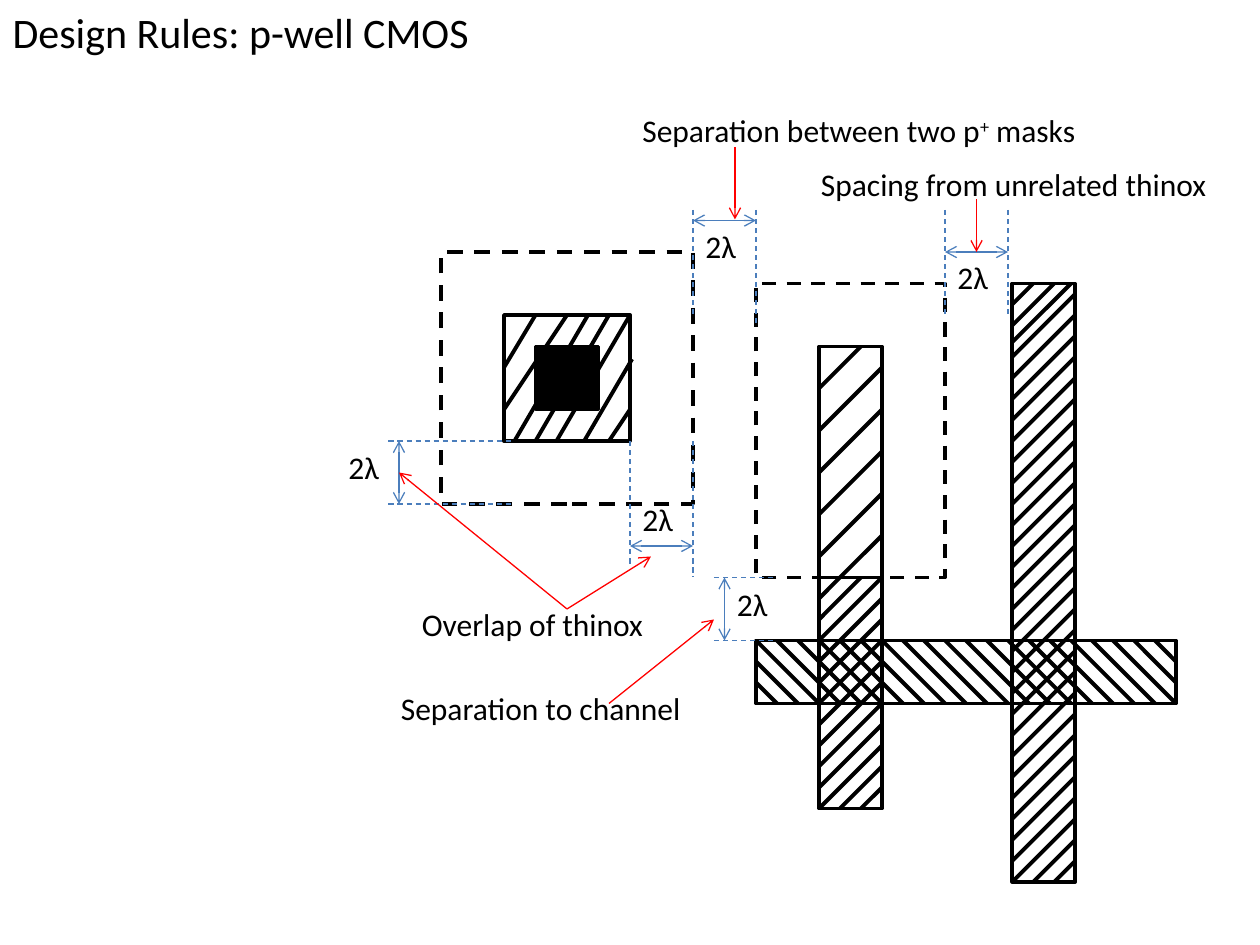
from lxml.etree import SubElement
from pptx import Presentation
from pptx.dml.color import RGBColor
from pptx.enum.dml import MSO_LINE_DASH_STYLE as Dash
from pptx.enum.shapes import MSO_CONNECTOR as Connector, MSO_SHAPE as Shape
from pptx.enum.text import MSO_ANCHOR as Anchor, MSO_AUTO_SIZE as AutoSize, PP_ALIGN as Align
from pptx.oxml.ns import qn
from pptx.util import Inches, Pt

BLACK = RGBColor(0x00, 0x00, 0x00)
BLUE = RGBColor(0x4B, 0x7E, 0xBC)
RED = RGBColor(0xFF, 0x00, 0x00)
COLUMNS, ROWS = 120, 90  # grid of twelve cells to the inch


def grid(cells):
    return Inches(cells / 12)


def write(frame, text, size=18, raised=""):
    """Fill a text frame; the part of the text equal to raised is superscript."""
    frame.word_wrap = True
    frame.vertical_anchor = Anchor.TOP
    para = frame.paragraphs[0]
    para.alignment = Align.LEFT
    before, mark, after = text.partition(raised) if raised else (text, "", "")
    for part in filter(None, (before, mark, after)):
        span = para.add_run()
        span.text = part
        span.font.size, span.font.name = Pt(size), "Calibri"
        span.font.color.rgb = BLACK
        if raised and part == raised:
            span.font._element.set("baseline", "30000")


class Drawing:
    """Draws on one slide; all lengths are in grid cells."""
    hatch_width, edge_width, thin_width = 2.25, 2, 0.75

    def __init__(self, page):
        self.page = page

    def title(self, text, left, top, width, height):
        box = self.page.shapes.title
        box.left, box.top, box.width, box.height = map(grid, (left, top, width, height))
        write(box.text_frame, text, size=24)
        box.text_frame.auto_size = AutoSize.SHAPE_TO_FIT_TEXT

    def label(self, text, left, top, width, raised=""):
        box = self.page.shapes.add_textbox(*map(grid, (left, top, width, 4.8)))
        write(box.text_frame, text, raised=raised)
        box.text_frame.auto_size = AutoSize.SHAPE_TO_FIT_TEXT

    def rect(self, left, top, right, bottom, width=edge_width, dash=None, fill=None, parent=None):
        box = (parent or self.page).shapes.add_shape(
            Shape.RECTANGLE, *map(grid, (left, top, right - left, bottom - top)))
        box.shadow.inherit = False
        if fill is None:
            box.fill.background()
        else:
            box.fill.solid()
            box.fill.fore_color.rgb = fill
        box.line.color.rgb, box.line.width = BLACK, Pt(width)
        if dash:
            box.line.dash_style = dash

    def line(self, start, end, color=BLACK, width=hatch_width, dash=None, arrows=(), parent=None):
        line = (parent or self.page).shapes.add_connector(
            Connector.STRAIGHT, *map(grid, (*start, *end)))
        line.line.color.rgb, line.line.width = color, Pt(width)
        if dash:
            line.line.dash_style = dash
        for arrow in arrows:
            SubElement(line.line._get_or_add_ln(), qn(f"a:{arrow}")).set("type", "arrow")
        SubElement(line._element.spPr, qn("a:effectLst"))

    def guide(self, start, end):
        self.line(start, end, BLUE, self.thin_width, Dash.DASH)

    def dimension(self, start, end):
        self.line(start, end, BLUE, self.thin_width, arrows=("headEnd", "tailEnd"))

    def pointer(self, start, end):
        self.line(start, end, RED, self.thin_width, arrows=("tailEnd",))

    def strokes(self, area, ends):
        group = self.page.shapes.add_group_shape()
        self.rect(*area, parent=group)
        for start, end in ends:
            self.line(start, end, parent=group)

    def hatch(self, area, offsets, rising=True):
        """Diagonals x + y = offset (rising) or x - y = offset, cut to the area."""
        left, top, right, bottom = area
        ends = []
        for offset in offsets:
            if rising:
                first, last = max(left, offset - bottom), min(right, offset - top)
                ends.append(((first, offset - first), (last, offset - last)))
            else:
                first, last = max(left, offset + top), min(right, offset + bottom)
                ends.append(((first, first - offset), (last, last - offset)))
        self.strokes(area, ends)


deck = Presentation()
deck.slide_width, deck.slide_height = grid(COLUMNS), grid(ROWS)
drawing = Drawing(deck.slides.add_slide(deck.slide_layouts[5]))
drawing.title("Design Rules: p-well CMOS", 0, 0, 56, 6)

# Left mask with its hatched thinox and contact
drawing.rect(42, 24, 66, 48, width=2.25, dash=Dash.DASH)
drawing.strokes((48, 30, 60, 42), [
    ((48, 35), (51, 30)), ((48, 39), (54, 30)),
    *(((x, 42), (x + 7, 30)) for x in (49, 51, 53)),
    ((55.7, 41.9), (60.2, 34.2)), ((58, 42), (60, 39))])
drawing.rect(51, 33, 57, 39, fill=BLACK)
drawing.line((60, 30), (60, 42))

# Right mask, the two thinox bars and the crossing polysilicon
drawing.hatch((78, 55, 84, 77), range(135, 160, 2))
drawing.hatch((78, 33, 84, 55), range(115, 136, 4))
drawing.rect(72, 27, 90, 55, dash=Dash.DASH)
drawing.hatch((72, 61, 112, 67), range(7, 50, 2), rising=False)
drawing.hatch((96.4, 27, 102.4, 84),
              [125.4, 127.4, 129, *(130.4 + 2 * step for step in range(28))])

# Dashed guides
for x, top, bottom in ((66, 20, 30), (72, 20, 31), (60, 42, 54), (66, 42, 55),
                       (90, 20, 30), (96, 20, 30)):
    drawing.guide((x, top), (x, bottom))
for y, left, right in ((42, 37, 49), (48, 37, 49), (55, 68, 74), (61, 68, 74)):
    drawing.guide((left, y), (right, y))

# Dimensions, each with its label
for start, end, left, top in (
        ((66, 21), (72, 21), 66, 21), ((96, 24), (90, 24), 90, 24),
        ((38, 48), (38, 42), 32, 42.1), ((66, 52), (60, 52), 60, 47),
        ((69, 61), (69, 55), 69, 55.1)):
    drawing.dimension(start, end)
    drawing.label("2λ", left, top, 6)

# Rule names and their pointers
drawing.label("Separation to channel", 37, 65, 30)
drawing.label("Separation between two p+ masks", 60, 10, 49, raised="+")
drawing.label("Spacing from unrelated thinox", 77, 15.1, 40)
drawing.label("Overlap of thinox", 39, 57, 30)
for start, end in (((58, 67), (68, 59)), ((70, 14), (70, 20.9)), ((93, 19), (93, 24)),
                   ((54, 58), (38, 45)), ((54, 58), (62, 53))):
    drawing.pointer(start, end)

deck.save("out.pptx")
